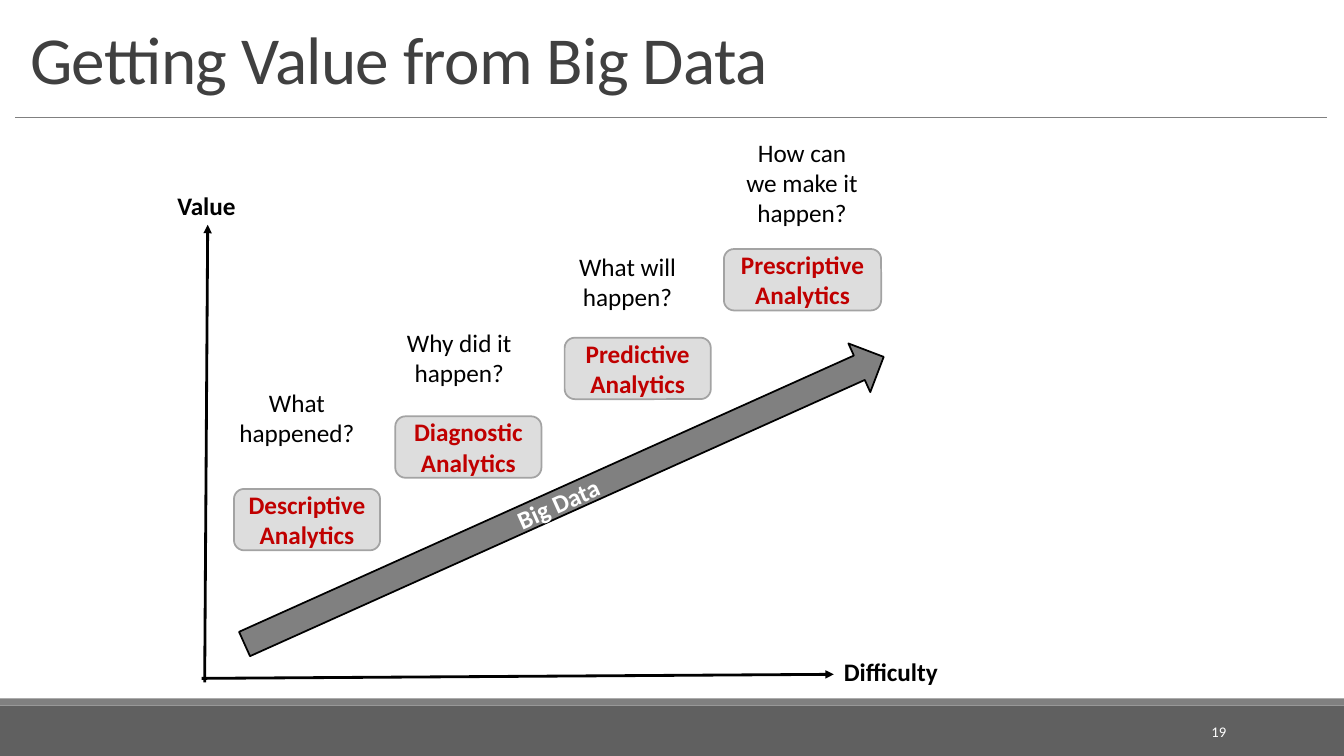
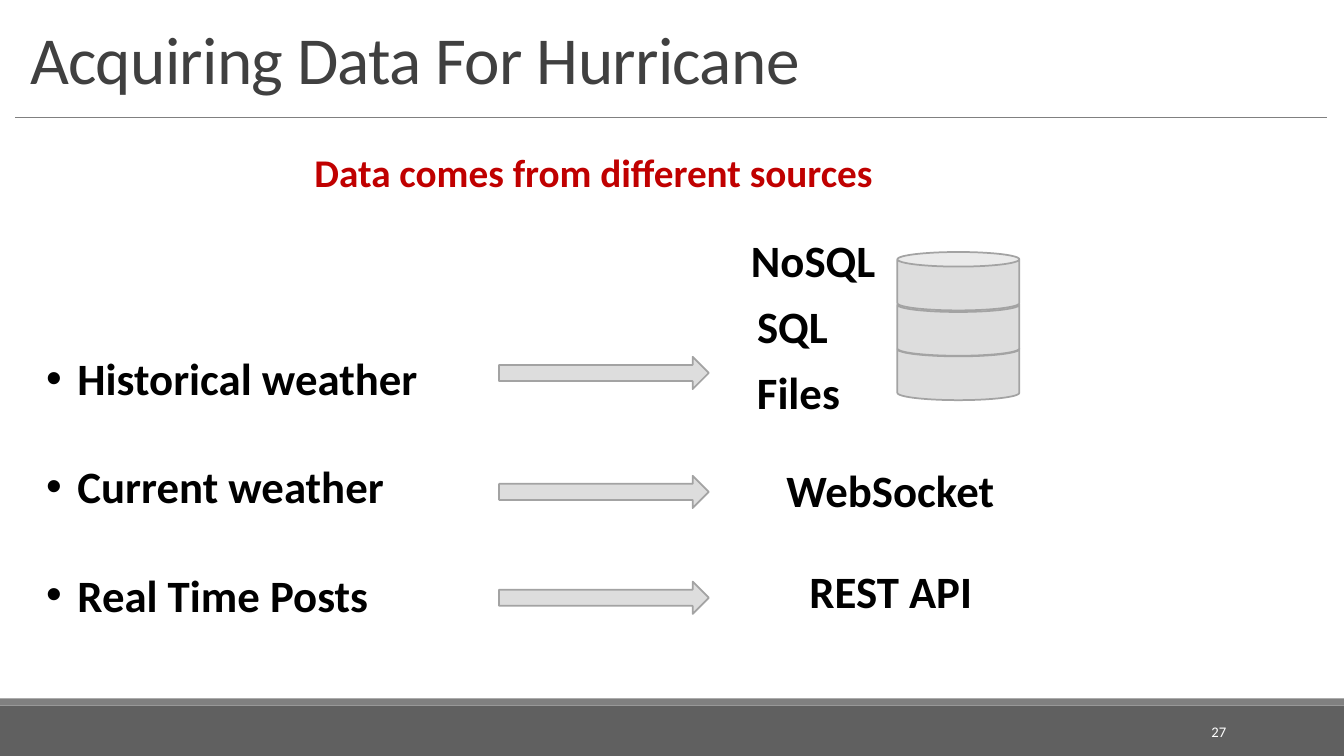
"""Build two slides on the value and the sources of big data."""
from dataclasses import dataclass
from typing import Any, NamedTuple

from lxml import etree
from pptx import Presentation, util as u
from pptx.dml import color as c
from pptx.enum import shapes as s, text as t
from pptx.oxml import ns


@dataclass(frozen=True)
class Theme:
    font: str = "Calibri"
    ink: str = "000000"
    title: str = "404040"
    white: str = "FFFFFF"
    red: str = "C00000"
    dark: str = "606060"
    gray: str = "808080"
    pale: str = "DDDDDD"
    edge: str = "A3A3A3"
    head: float = 48
    item: float = 32
    lead: float = 28
    body: float = 18
    page: float = 10.5


class Box(NamedTuple):
    x: float
    y: float
    w: float
    h: float


class Style(NamedTuple):
    size: float
    color: str
    bold: bool = False
    align: Any = t.PP_ALIGN.LEFT


class Stage(NamedTuple):
    name: str
    ask: str
    box: Box
    note: Box


class Label(NamedTuple):
    text: str
    box: Box


THEME = Theme()
MID = t.PP_ALIGN.CENTER
KIND = s.MSO_SHAPE
HEAD = Style(THEME.head, THEME.title)
PAGE = Style(THEME.page, THEME.white, align=t.PP_ALIGN.RIGHT)
NAME = Style(THEME.body, THEME.red, True, MID)
ASK = Style(THEME.body, THEME.ink, align=MID)
AXIS = Style(THEME.body, THEME.ink, True)
TREND = Style(THEME.body, THEME.white, True, MID)
LEAD = Style(THEME.lead, THEME.red, True)
ITEM = Style(THEME.item, THEME.ink, True)

STAGES = [
    Stage("Descriptive Analytics", "What happened?",
          Box(2.32, 4.85, 1.45, 0.61), Box(2.23, 3.79, 1.43, 0.71)),
    Stage("Diagnostic Analytics", "Why did it happen?",
          Box(3.92, 4.13, 1.45, 0.61), Box(3.84, 3.2, 1.43, 0.71)),
    Stage("Predictive Analytics", "What will happen?",
          Box(5.6, 3.35, 1.45, 0.61), Box(5.51, 2.44, 1.43, 0.71)),
    Stage("Prescriptive Analytics", "How can we make it happen?",
          Box(7.18, 2.47, 1.56, 0.61), Box(7.24, 1.31, 1.43, 1.01)),
]
AXES = [
    Label("Difficulty", Box(8.27, 6.46, 1.15, 0.4)),
    Label("Value", Box(1.66, 1.84, 0.78, 0.4)),
]
FEEDS = ["Historical weather", "Current weather", "Real Time Posts"]
TARGETS = [
    Label("NoSQL", Box(7.35, 2.26, 1.55, 0.64)),
    Label("SQL", Box(7.41, 2.91, 1.01, 0.64)),
    Label("Files", Box(7.41, 3.57, 1.03, 0.64)),
    Label("WebSocket", Box(7.7, 4.54, 2.28, 0.64)),
    Label("REST API", Box(7.93, 5.54, 1.93, 0.64)),
]


def rgb(code: str) -> c.RGBColor:
    """Turn a hex code into a colour."""
    return c.RGBColor.from_string(code)


def span(box: Box) -> list[int]:
    """Give a box as lengths."""
    return [u.Inches(v) for v in box]


def apply(obj: Any, vals: dict[str, Any]) -> None:
    """Set each named value on an object."""
    for key, val in vals.items():
        setattr(obj, key, val)


def write(par: Any, words: str, style: Style) -> Any:
    """Put one styled run in a paragraph."""
    par.alignment = style.align
    run = par.add_run()
    run.text = words
    apply(run.font, {"name": THEME.font, "size": u.Pt(style.size),
                     "bold": style.bold})
    run.font.color.rgb = rgb(style.color)
    return run


def label(slide: Any, words: str, box: Box, style: Style,
          wrap: bool = False) -> Any:
    """Add a text box that fits its text."""
    frame = slide.shapes.add_textbox(*span(box)).text_frame
    apply(frame, {"word_wrap": wrap,
                  "auto_size": t.MSO_AUTO_SIZE.SHAPE_TO_FIT_TEXT})
    write(frame.paragraphs[0], words, style)
    return frame


def fixed(slide: Any, words: str, box: Box, style: Style, anchor: Any) -> Any:
    """Add a text box of fixed size and return its run."""
    frame = slide.shapes.add_textbox(*span(box)).text_frame
    apply(frame, {"word_wrap": True, "vertical_anchor": anchor})
    return write(frame.paragraphs[0], words, style)


def shape(slide: Any, kind: Any, box: Box, fill: str, edge: str = "") -> Any:
    """Add a flat preset shape."""
    item = slide.shapes.add_shape(kind, *span(box))
    item.shadow.inherit = False
    item.fill.solid()
    item.fill.fore_color.rgb = rgb(fill)
    if edge:
        item.line.color.rgb = rgb(edge)
        item.line.width = u.Pt(1.25)
    else:
        item.line.fill.background()
    return item


def inside(item: Any, words: str, style: Style) -> None:
    """Write centred text in a shape."""
    frame = item.text_frame
    apply(frame, {"word_wrap": True, "vertical_anchor": t.MSO_ANCHOR.MIDDLE})
    write(frame.paragraphs[0], words, style)


def line(slide: Any, start: tuple[float, float], end: tuple[float, float],
         color: str, width: float, head: bool = False) -> None:
    """Add a straight line, with an arrowhead if asked."""
    ends = [u.Inches(v) for v in (*start, *end)]
    item = slide.shapes.add_connector(s.MSO_CONNECTOR.STRAIGHT, *ends)
    item.line.color.rgb = rgb(color)
    item.line.width = u.Pt(width)
    if head:
        tail = etree.SubElement(item.line._get_or_add_ln(),
                                ns.qn("a:tailEnd"))
        tail.set("type", "triangle")
    etree.SubElement(item._element.spPr, ns.qn("a:effectLst"))


def base(deck: Any, title: str, page: str) -> Any:
    """Add a slide with its bands, rule, title and number."""
    slide = deck.slides.add_slide(deck.slide_layouts[6])
    shape(slide, KIND.RECTANGLE, Box(0, 7, 13.33, 0.5), THEME.dark)
    shape(slide, KIND.RECTANGLE, Box(0, 6.93, 13.33, 0.07), THEME.gray)
    line(slide, (0.15, 1.16), (13.16, 1.16), THEME.gray, 0.5)
    box = slide.shapes.add_textbox(*span(Box(0.2, 0.15, 12.93, 0.87)))
    apply(box.text_frame, {"word_wrap": True,
                           "vertical_anchor": t.MSO_ANCHOR.BOTTOM})
    par = box.text_frame.paragraphs[0]
    par.line_spacing = 0.85
    write(par, title, HEAD)._r.get_or_add_rPr().set("spc", "-50")
    fixed(slide, page, Box(10.83, 7.06, 1.43, 0.4), PAGE,
          t.MSO_ANCHOR.MIDDLE)
    return slide


def bullets(slide: Any, words: list[str], box: Box, style: Style) -> None:
    """Add a bulleted list with a blank line's gap between items."""
    frame = label(slide, words[0], box, style)
    for word in words[1:]:
        par = frame.add_paragraph()
        par.space_before = u.Pt(39)
        write(par, word, style)
    for par in frame.paragraphs:
        props = par._p.get_or_add_pPr()
        props.set("marL", str(u.Inches(0.31)))
        props.set("indent", str(-u.Inches(0.31)))
        etree.SubElement(props, ns.qn("a:buFont")).set("typeface", "Arial")
        etree.SubElement(props, ns.qn("a:buChar")).set("char", "•")


def value(deck: Any) -> None:
    """Draw the chart of value against difficulty."""
    slide = base(deck, "Getting Value from Big Data", "19")
    trend = shape(slide, KIND.RIGHT_ARROW, Box(2.12, 4.7, 6.95, 0.53),
                  THEME.gray, THEME.ink)
    trend.rotation = 335.8
    inside(trend, "Big Data", TREND)
    line(slide, (2, 6.73), (8.27, 6.69), THEME.ink, 2, True)
    line(slide, (2.03, 6.77), (2.06, 2.23), THEME.ink, 2, True)
    for step in STAGES:
        card = shape(slide, KIND.ROUNDED_RECTANGLE, step.box,
                     THEME.pale, THEME.edge)
        inside(card, step.name, NAME)
        label(slide, step.ask, step.note, ASK, True)
    for axis in AXES:
        label(slide, axis.text, axis.box, AXIS)


def sources(deck: Any) -> None:
    """Draw the data feeds and where each comes from."""
    slide = base(deck, "Acquiring Data For Hurricane", "27")
    label(slide, "Data comes from different sources",
          Box(3.02, 1.42, 5.82, 0.57), LEAD)
    bullets(slide, FEEDS, Box(0.36, 3.43, 3.92, 2.81), ITEM)
    for top in (3.54, 4.72, 5.77):
        shape(slide, KIND.RIGHT_ARROW, Box(4.95, top, 2.08, 0.32),
              THEME.pale, THEME.edge)
    for top in (3.39, 2.95, 2.5):
        shape(slide, KIND.CAN, Box(8.9, top, 1.21, 0.58),
              THEME.pale, THEME.edge)
    for goal in TARGETS:
        label(slide, goal.text, goal.box, ITEM)


def main() -> None:
    """Build and save the deck."""
    deck = Presentation()
    apply(deck, {"slide_width": u.Inches(13.33),
                 "slide_height": u.Inches(7.5)})
    value(deck)
    sources(deck)
    deck.save("out.pptx")


if __name__ == "__main__":
    main()
